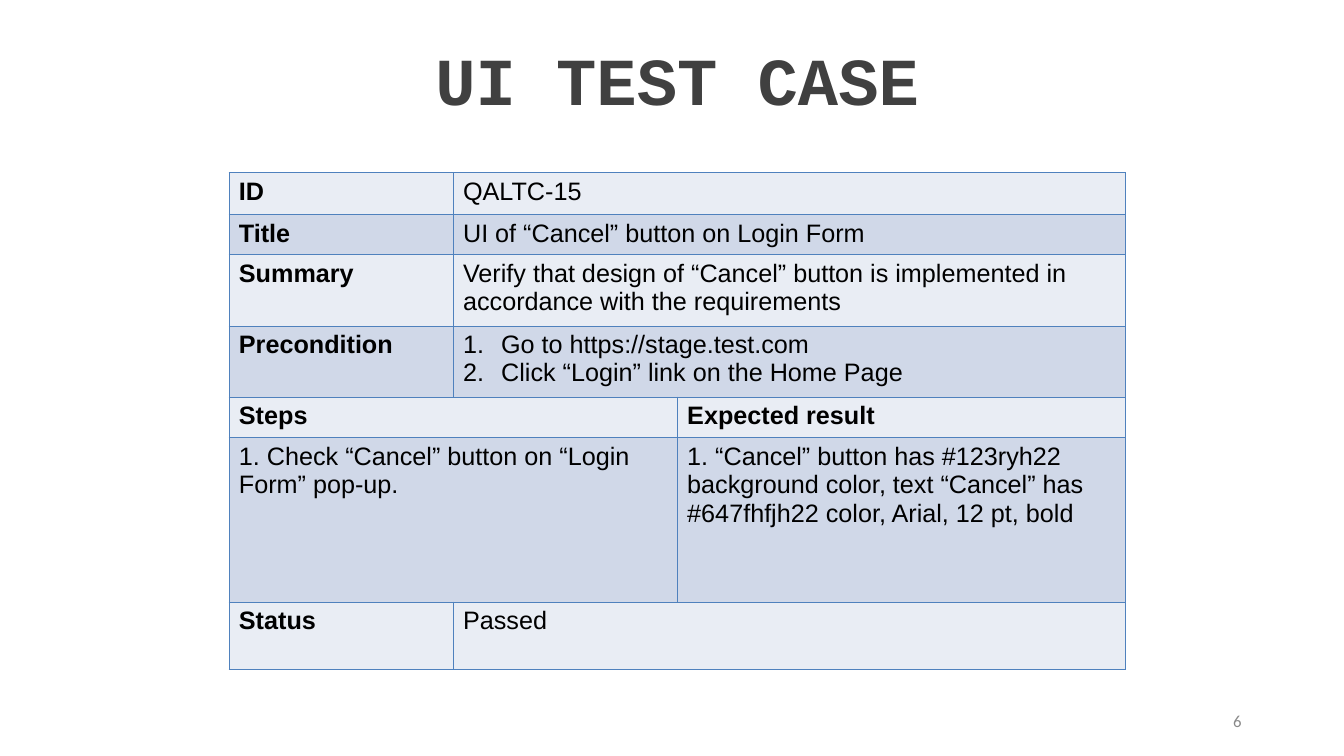
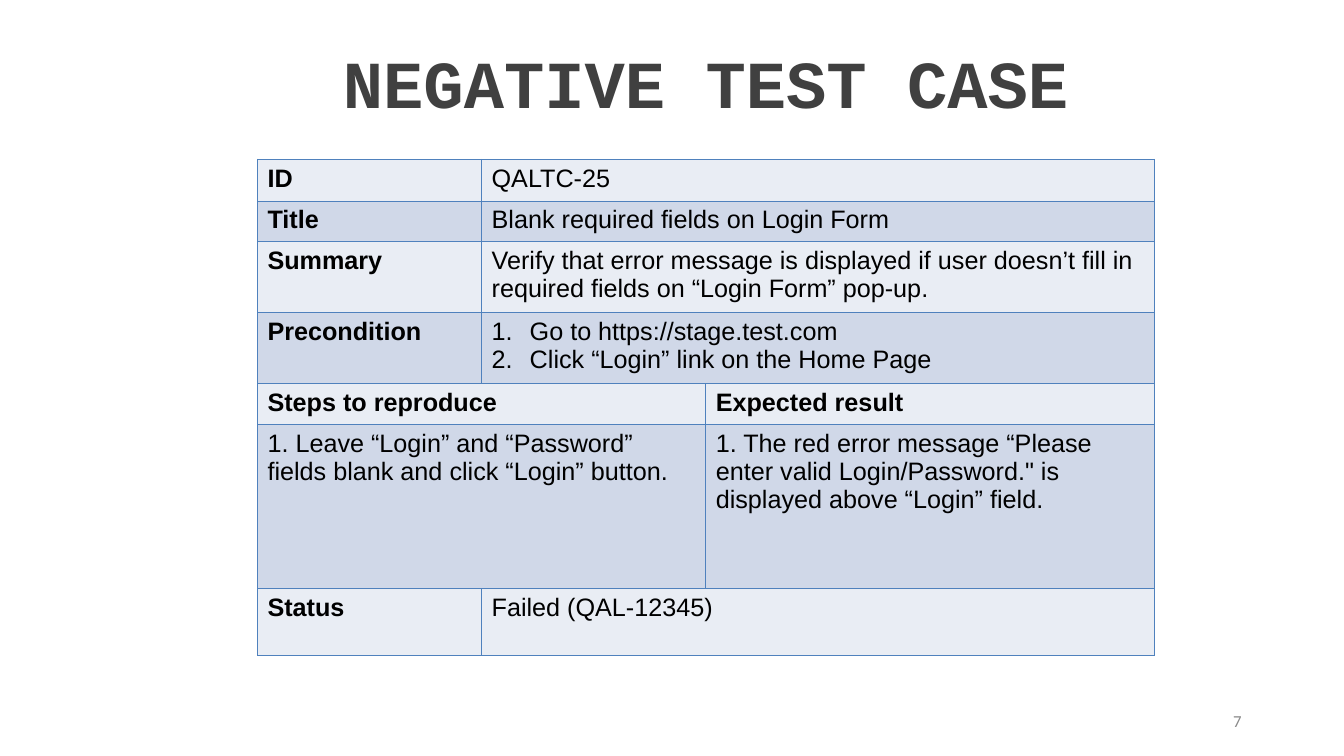
from lxml.etree import SubElement
from pptx import Presentation
from pptx.dml.color import RGBColor
from pptx.enum.text import MSO_ANCHOR, MSO_AUTO_SIZE, PP_ALIGN
from pptx.oxml.ns import qn
from pptx.util import Cm, Pt

# Content: title, page, table left and top, title top (cm), rows
# A row is (first cell, second cell, column where the second cell starts)
STEPS = ["Go to https://stage.test.com", "Click “Login” link on the Home Page"]
CASES = [
    ("UI TEST CASE", "6", 5.77, 4.35, 0.84, [
        ("ID", "QALTC-15", 1),
        ("Title", "UI of “Cancel” button on Login Form", 1),
        ("Summary", "Verify that design of “Cancel” button is implemented in "
                    "accordance with the requirements", 1),
        ("Precondition", STEPS, 1),
        ("Steps", "Expected result", 2),
        ("1. Check “Cancel” button on “Login Form” pop-up.",
         "1. “Cancel” button has #123ryh22 background color, text “Cancel” "
         "has #647fhfjh22 color, Arial, 12 pt, bold", 2),
        ("Status", "Passed", 1),
    ]),
    ("NEGATIVE TEST CASE", "7", 6.49, 4.01, 0.91, [
        ("ID", "QALTC-25", 1),
        ("Title", "Blank required fields on Login Form", 1),
        ("Summary", "Verify that error message is displayed if user doesn’t "
                    "fill in required fields on “Login Form” pop-up.", 1),
        ("Precondition", STEPS, 1),
        ("Steps to reproduce", "Expected result", 2),
        ("1. Leave “Login” and “Password” fields blank and click “Login” "
         "button.",
         "1. The red error message “Please enter valid Login/Password.\" is "
         "displayed above “Login” field.", 2),
        ("Status", "Failed (QAL-12345)", 1),
    ]),
]

# Shared look
HUES = {"title": "404040", "page": "898989", "text": "000000",
        "line": "4F81BD", "pale": "E9EDF4", "dark": "D0D8E8"}
WIDTH = 22.6
PARTS = [1 / 4, 1 / 4, 1 / 2]
HEIGHTS = [1.05, 1.02, 1.79, 1.79, 1.03, 4.14, 1.69]
HEAD_ROW, BODY_ROW = 4, 5


def hue(name):
    return RGBColor.from_string(HUES[name])


def write(frame, text, font="Arial", size=18, color="text", bold=False,
          align=PP_ALIGN.LEFT):
    """Fill a text frame; a list of texts becomes a numbered list."""
    listed = isinstance(text, list)
    for i, line in enumerate(text if listed else [text]):
        para = frame.paragraphs[0] if i == 0 else frame.add_paragraph()
        para.alignment = align
        if listed:
            props = para._p.get_or_add_pPr()
            props.set("marL", str(Cm(0.96)))
            props.set("indent", str(-Cm(0.96)))
            SubElement(props, qn("a:buFont"), typeface=font)
            SubElement(props, qn("a:buAutoNum"), type="arabicPeriod")
        run = para.add_run()
        run.text = line
        run.font.name, run.font.size = font, Pt(size)
        run.font.bold, run.font.color.rgb = bold, hue(color)


def paint(cell, fill):
    """Draw the four borders of a cell, then its fill."""
    props = cell._tc.get_or_add_tcPr()
    for side in ("lnL", "lnR", "lnT", "lnB"):
        line = SubElement(props, qn("a:" + side), w=str(Pt(0.45)))
        solid = SubElement(line, qn("a:solidFill"))
        SubElement(solid, qn("a:srgbClr"), val=HUES["line"])
    cell.fill.solid()
    cell.fill.fore_color.rgb = hue(fill)


def add_grid(slide, rows, left, top):
    grid = slide.shapes.add_table(len(rows), len(PARTS), Cm(left), Cm(top),
                                  Cm(WIDTH), Cm(sum(HEIGHTS))).table
    grid.first_row = grid.horz_banding = False
    for col, part in zip(grid.columns, PARTS):
        col.width = Cm(WIDTH * part)
    for r, (first, second, split) in enumerate(rows):
        grid.rows[r].height = Cm(HEIGHTS[r])
        for c in range(len(PARTS)):
            paint(grid.cell(r, c), "dark" if r % 2 else "pale")
        if split == 1:
            grid.cell(r, 1).merge(grid.cell(r, 2))
        else:
            grid.cell(r, 0).merge(grid.cell(r, 1))
        write(grid.cell(r, 0).text_frame, first, bold=r != BODY_ROW)
        write(grid.cell(r, split).text_frame, second, bold=r == HEAD_ROW)


def add_case(deck, title, page, left, top, head, rows):
    slide = deck.slides.add_slide(deck.slide_layouts[5])
    # Title, centred over the table
    box = slide.shapes.title
    box.left, box.top = Cm(left), Cm(head)
    box.width, box.height = Cm(WIDTH), Cm(2.29)
    frame = box.text_frame
    frame.auto_size = MSO_AUTO_SIZE.NONE
    frame.vertical_anchor = MSO_ANCHOR.TOP
    write(frame, title, font="Courier New", size=48, color="title",
          bold=True, align=PP_ALIGN.CENTER)
    add_grid(slide, rows, left, top)
    # Page number
    frame = slide.shapes.add_textbox(Cm(23.93), Cm(17.65), Cm(7.62),
                                     Cm(1.02)).text_frame
    frame.word_wrap = True
    frame.vertical_anchor = MSO_ANCHOR.MIDDLE
    write(frame, page, font="Calibri", size=12, color="page",
          align=PP_ALIGN.RIGHT)


def main():
    deck = Presentation()
    deck.slide_width, deck.slide_height = Cm(33.88), Cm(19.05)
    for case in CASES:
        add_case(deck, *case)
    deck.save("out.pptx")


if __name__ == "__main__":
    main()
